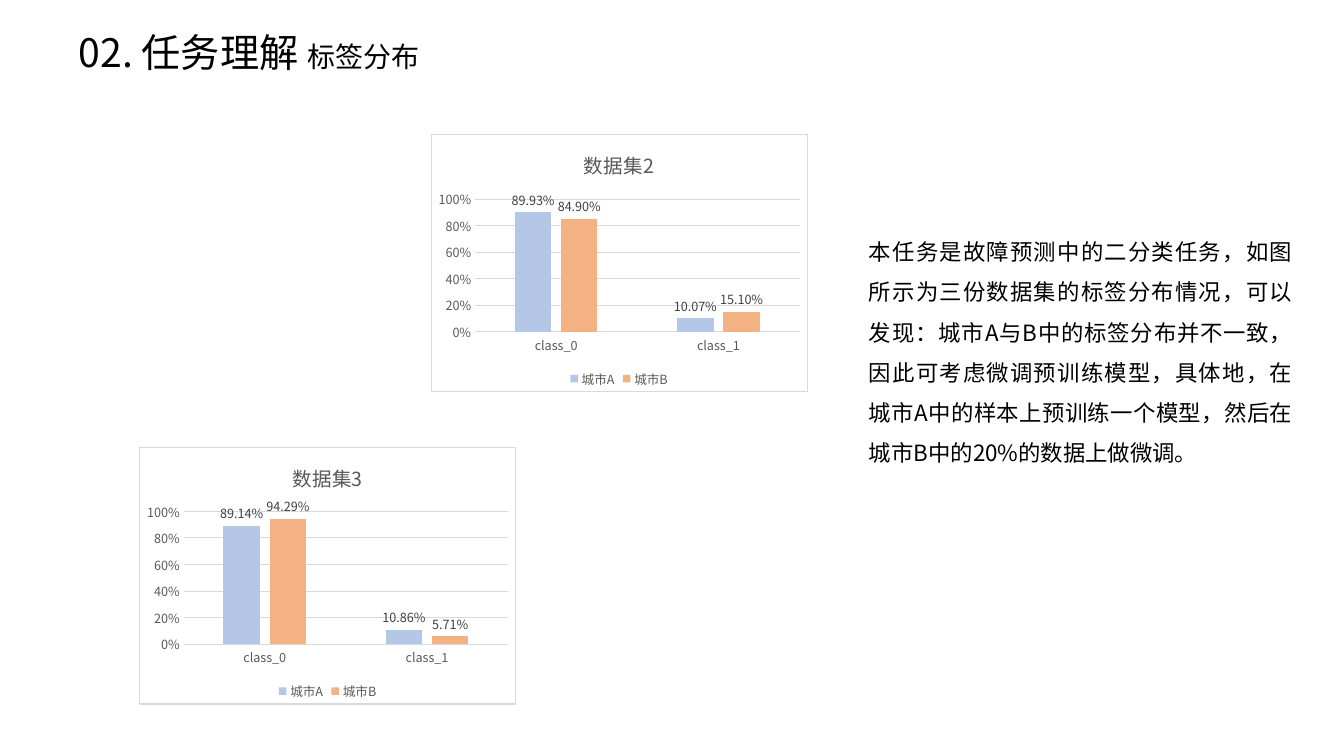
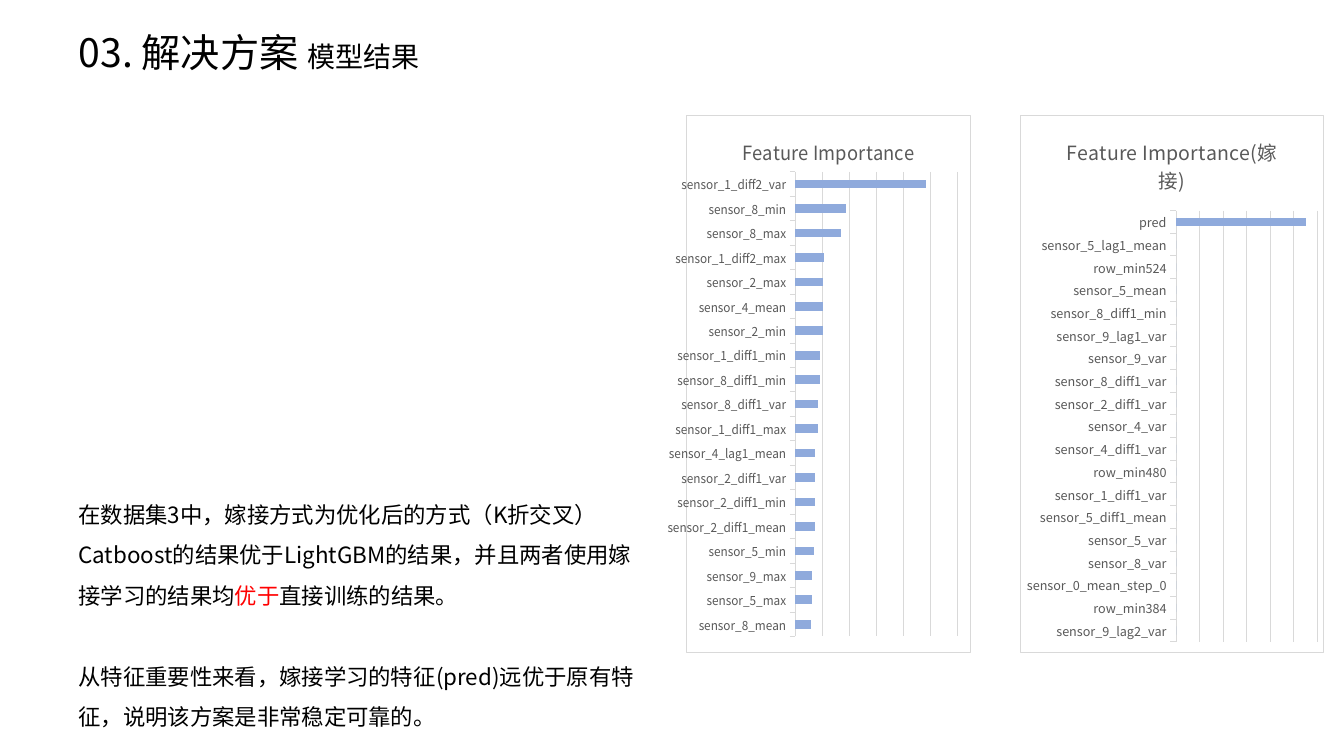
from lxml import etree
from pptx import Presentation
from pptx.chart.data import CategoryChartData
from pptx.dml.color import RGBColor
from pptx.enum.chart import (XL_CHART_TYPE, XL_LABEL_POSITION,
                             XL_LEGEND_POSITION, XL_TICK_MARK)
from pptx.enum.text import MSO_ANCHOR, MSO_AUTO_SIZE, PP_ALIGN
from pptx.oxml import parse_xml
from pptx.oxml.ns import nsdecls, qn
from pptx.util import Inches, Pt

COLUMNS = XL_CHART_TYPE.COLUMN_CLUSTERED
BARS = XL_CHART_TYPE.BAR_CLUSTERED
OUTSIDE_END = XL_LABEL_POSITION.OUTSIDE_END
LEGEND_BOTTOM = XL_LEGEND_POSITION.BOTTOM
TICK_NONE, TICK_OUT = XL_TICK_MARK.NONE, XL_TICK_MARK.OUTSIDE
LEFT, JUSTIFY = PP_ALIGN.LEFT, PP_ALIGN.JUSTIFY
MIDDLE = MSO_ANCHOR.MIDDLE
GROW = MSO_AUTO_SIZE.SHAPE_TO_FIT_TEXT

FONT = "Noto Sans CJK SC"
COLORS = {
    "text": "000000", "accent": "FF0000", "chart_text": "595959",
    "label": "404040", "line": "D9D9D9", "frame": "FFFFFF",
    "city_a": "B4C7E7", "city_b": "F4B183", "feature": "8FAADC",
}
MARGIN = 0.68

FEATURES = {
    "sensor_1_diff2_var": 100, "sensor_8_min": 39, "sensor_8_max": 35,
    "sensor_1_diff2_max": 22, "sensor_2_max": 21, "sensor_4_mean": 21,
    "sensor_2_min": 21, "sensor_1_diff1_min": 19, "sensor_8_diff1_min": 19,
    "sensor_8_diff1_var": 17, "sensor_1_diff1_max": 17,
    "sensor_4_lag1_mean": 15, "sensor_2_diff1_var": 15,
    "sensor_2_diff1_min": 15, "sensor_2_diff1_mean": 15, "sensor_5_min": 14,
    "sensor_9_max": 13, "sensor_5_max": 13, "sensor_8_mean": 12,
}
GRAFTED_FEATURES = {"pred": 100} | dict.fromkeys([
    "sensor_5_lag1_mean", "row_min524", "sensor_5_mean",
    "sensor_8_diff1_min", "sensor_9_lag1_var", "sensor_9_var",
    "sensor_8_diff1_var", "sensor_2_diff1_var", "sensor_4_var",
    "sensor_4_diff1_var", "row_min480", "sensor_1_diff1_var",
    "sensor_5_diff1_mean", "sensor_5_var", "sensor_8_var",
    "sensor_0_mean_step_0", "row_min384", "sensor_9_lag2_var"], 0)


def rgb(name):
    return RGBColor.from_string(COLORS[name])


def style_font(font, size, color="text"):
    font.name, font.size, font.bold = FONT, Pt(size), False
    font.color.rgb = rgb(color)


def use_east_asian_font(element):
    """Repeat each Latin typeface as the East Asian one."""
    for latin in list(element.iter(qn("a:latin"))):
        east_asian = etree.Element(qn("a:ea"), typeface=latin.get("typeface"))
        latin.addnext(east_asian)


def add_span(para, text, size, color="text"):
    span = para.add_run()
    span.text = text
    style_font(span.font, size, color)


# Text
def add_page(deck, heading, topic):
    page = deck.slides.add_slide(deck.slide_layouts[5])
    title = page.shapes.title
    title.left, title.top = Inches(MARGIN), Inches(0.23)
    title.width, title.height = Inches(3.71), Inches(0.57)
    frame = title.text_frame
    frame.word_wrap, frame.auto_size = False, GROW
    frame.vertical_anchor = MIDDLE
    para = frame.paragraphs[0]
    para.alignment = LEFT
    add_span(para, heading + " ", 28)
    add_span(para, topic, 20)
    use_east_asian_font(title._element)
    return page


def add_text(page, left, top, width, paragraphs, align=LEFT):
    """Each paragraph is (space before, [(text, color), ...])."""
    box = page.shapes.add_textbox(Inches(left), Inches(top),
                                  Inches(width), Inches(2.52))
    frame = box.text_frame
    frame.word_wrap, frame.auto_size = True, GROW
    for index, (gap, spans) in enumerate(paragraphs):
        para = frame.add_paragraph() if index else frame.paragraphs[0]
        para.alignment, para.line_spacing = align, 1.5
        para.space_before = Pt(gap)
        for text, color in spans:
            add_span(para, text, 16, color)
    use_east_asian_font(box._element)


# Charts
def add_framed_chart(page, kind, place, title, categories, series, gap):
    """Each series is (name, values, color)."""
    data = CategoryChartData()
    data.categories = categories
    for name, values, _ in series:
        data.add_series(name, values)
    chart = page.shapes.add_chart(kind, *map(Inches, place), data).chart
    style_font(chart.font, 10)
    chart.has_title, chart.has_legend = True, False
    span = chart.chart_title.text_frame.paragraphs[0].add_run()
    span.text = title
    style_font(span.font, 14, "chart_text")

    plot = chart.plots[0]
    plot.gap_width, plot.vary_by_categories = gap, False
    for bars, (_, _, color) in zip(plot.series, series):
        bars.format.fill.solid()
        bars.format.fill.fore_color.rgb = rgb(color)
        bars.invert_if_negative = False

    categories_axis, value_axis = chart.category_axis, chart.value_axis
    style_font(categories_axis.tick_labels.font, 9, "chart_text")
    value_axis.has_major_gridlines = True
    for line in (categories_axis.format.line,
                 value_axis.major_gridlines.format.line):
        line.color.rgb, line.width = rgb("line"), Pt(0.75)
    categories_axis.minor_tick_mark = TICK_NONE
    value_axis.major_tick_mark = value_axis.minor_tick_mark = TICK_NONE
    value_axis.minimum_scale = 0

    # White area with a thin border
    area = parse_xml(
        f'<c:spPr {nsdecls("c", "a")}>'
        f'<a:solidFill><a:srgbClr val="{COLORS["frame"]}"/></a:solidFill>'
        f'<a:ln w="{Pt(0.75)}"><a:solidFill><a:srgbClr val="{COLORS["line"]}"/>'
        '</a:solidFill></a:ln></c:spPr>')
    chart._chartSpace.find(qn("c:chart")).addnext(area)
    return chart


def add_city_chart(page, left, top, title, city_a, city_b):
    chart = add_framed_chart(
        page, COLUMNS, (left, top, 3.74, 2.56), title,
        ["class_0", "class_1"],
        [("城市A", city_a, "city_a"), ("城市B", city_b, "city_b")], 219)
    plot = chart.plots[0]
    plot.overlap = -27
    for bars in plot.series:
        labels = bars.data_labels
        labels.show_value, labels.position = True, OUTSIDE_END
        labels.number_format, labels.number_format_is_linked = "0.00%", False
        style_font(labels.font, 9, "label")

    chart.category_axis.major_tick_mark = TICK_NONE
    axis = chart.value_axis
    axis.maximum_scale, axis.major_unit = 1, 0.2
    axis.format.line.fill.background()
    axis.tick_labels.number_format = "0%"
    axis.tick_labels.number_format_is_linked = False
    style_font(axis.tick_labels.font, 9, "chart_text")

    chart.has_legend = True
    chart.legend.position = LEGEND_BOTTOM
    chart.legend.include_in_layout = False
    style_font(chart.legend.font, 9, "chart_text")
    use_east_asian_font(chart._chartSpace)


def add_feature_chart(page, left, title, features, unit, inner_plot=None):
    chart = add_framed_chart(
        page, BARS, (left, 1.14, 3.01, 5.34), title, list(features),
        [("Series 1", list(features.values()), "feature")], 182)
    chart.category_axis.reverse_order = True
    chart.category_axis.major_tick_mark = TICK_OUT
    axis = chart.value_axis
    axis.visible = False
    axis.major_unit, axis.maximum_scale = unit, 6 * unit
    if inner_plot:
        place_plot(chart, inner_plot)
    use_east_asian_font(chart._chartSpace)


def place_plot(chart, fractions):
    """Fix the inner plot as fractions of the chart: x, y, width, height."""
    plot_area = chart._chartSpace.find(qn("c:chart")).find(qn("c:plotArea"))
    for layout in plot_area.findall(qn("c:layout")):
        plot_area.remove(layout)
    sizes = "".join(f'<c:{key} val="{value}"/>'
                    for key, value in zip("xywh", fractions))
    plot_area.insert(0, parse_xml(
        f'<c:layout {nsdecls("c")}><c:manualLayout>'
        '<c:layoutTarget val="inner"/><c:xMode val="edge"/>'
        f'<c:yMode val="edge"/>{sizes}</c:manualLayout></c:layout>'))


# Slides
def add_label_page(deck):
    page = add_page(deck, "02. 任务理解", "标签分布")
    add_text(page, 8.52, 2.18, 4.4, [(0, [(
        "本任务是故障预测中的二分类任务，如图所示为三份数据集的标签分布情况，"
        "可以发现：城市A与B中的标签分布并不一致，因此可考虑微调预训练模型，"
        "具体地，在城市A中的样本上预训练一个模型，"
        "然后在城市B中的20%的数据上做微调。", "text")])], JUSTIFY)
    add_city_chart(page, 4.27, 1.33, "数据集2",
                   (0.8993, 0.1007), (0.849, 0.151))
    add_city_chart(page, 1.38, 4.43, "数据集3",
                   (0.8914, 0.1086), (0.9429, 0.0571))


def add_result_page(deck):
    page = add_page(deck, "03. 解决方案", "模型结果")
    add_feature_chart(page, 6.62, "Feature Importance", FEATURES, 20.6,
                      (0.383, 0.105, 0.571, 0.865))
    add_feature_chart(page, 10.12, "Feature Importance(嫁接)",
                      GRAFTED_FEATURES, 18.1)
    add_text(page, MARGIN, 4.79, 5.72, [
        (0, [("在数据集3中，嫁接方式为优化后的方式（K折交叉）", "text")]),
        (0, [("Catboost的结果优于LightGBM的结果，"
              "并且两者使用嫁接学习的结果均", "text"),
             ("优于", "accent"), ("直接训练的结果。", "text")]),
        (29, [("从特征重要性来看，嫁接学习的特征(pred)远优于原有特征，"
               "说明该方案是非常稳定可靠的。", "text")]),
    ])


def main():
    deck = Presentation()
    deck.slide_width, deck.slide_height = Inches(13.33), Inches(7.5)
    add_label_page(deck)
    add_result_page(deck)
    deck.save("out.pptx")


if __name__ == "__main__":
    main()
